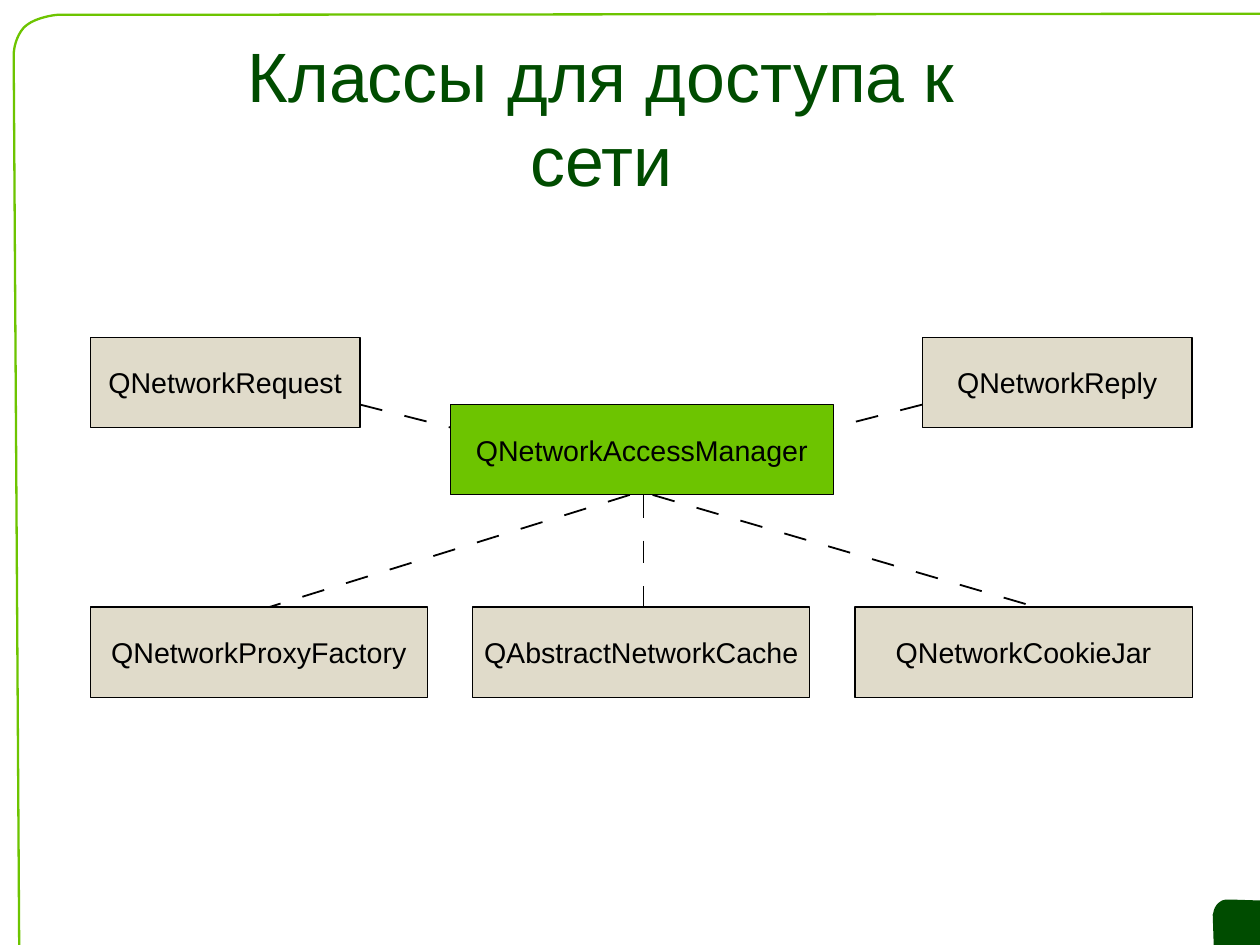
import pptx
import pptx.util
import pptx.dml.color
import pptx.enum.shapes
import pptx.enum.text
import pptx.oxml
import pptx.oxml.ns
from pptx.util import Inches

COLORS = {"dark": "004C00", "green": "6DC400", "sand": "E0DBCA", "black": "000000"}
FONT = "Arial"
TITLE = "Классы для доступа к сети"
SLIDE_SIZE_CM = (28, 21)

MARGIN = 0.79
RIGHT = 10.43
BOX_HEIGHT = 0.79
UPPER_TOP, MANAGER_TOP, LOWER_TOP = 2.95, 3.54, 5.31
UPPER_WIDTH, MANAGER_WIDTH, LOWER_WIDTH = 2.36, 3.35, 2.95
MANAGER_LEFT = 3.94

UPPER_CLASSES = ["QNetworkRequest", "QNetworkReply"]
LOWER_CLASSES = ["QNetworkProxyFactory", "QAbstractNetworkCache", "QNetworkCookieJar"]
MANAGER = "QNetworkAccessManager"

MANAGER_BOTTOM = MANAGER_TOP + BOX_HEIGHT
LINKS = [
    ((MARGIN + UPPER_WIDTH, 3.54), (MANAGER_LEFT, 3.74)),
    ((RIGHT - UPPER_WIDTH, 3.54), (MANAGER_LEFT + MANAGER_WIDTH, 3.74)),
    ((5.63, MANAGER_BOTTOM), (5.63, LOWER_TOP)),
    ((5.51, MANAGER_BOTTOM), (2.36, LOWER_TOP)),
    ((5.71, MANAGER_BOTTOM), (9.06, LOWER_TOP)),
]

CORNER_TAB = [
    [(10.76, 7.87)],
    [(11.06, 7.88)],
    [(11.06, 8.14)],
    [(11.06, 8.19), (11.06, 8.21), (11.04, 8.25)],
    [(10.99, 8.3), (10.96, 8.3), (10.91, 8.3)],
    [(10.62, 8.3)],
    [(10.61, 8)],
    [(10.62, 7.99), (10.61, 7.96), (10.65, 7.91)],
    [(10.69, 7.87), (10.72, 7.87), (10.76, 7.87)],
]
FRAME = [
    [(0.5, 0.13)],
    [(0.49, 0.13), (0.3, 0.15), (0.21, 0.24)],
    [(0.12, 0.34), (0.12, 0.48), (0.12, 0.48)],
    [(0.17, 8.55)],
    [(11.32, 8.57)],
    [(11.27, 0.12)],
]
CURVE_STEPS = 10


def rgb(name):
    return pptx.dml.color.RGBColor.from_string(COLORS[name])


def outline_points(segments):
    points = [segments[0][0]]
    for segment in segments[1:]:
        if len(segment) == 1:
            points.append(segment[0])
            continue
        controls = [points[-1], *segment]
        for step in range(1, CURVE_STEPS + 1):
            t = step / CURVE_STEPS
            weights = ((1 - t) ** 3, 3 * t * (1 - t) ** 2, 3 * t * t * (1 - t), t ** 3)
            points.append(tuple(
                sum(w * point[axis] for w, point in zip(weights, controls))
                for axis in (0, 1)))
    return [(Inches(x), Inches(y)) for x, y in points]


def add_outline(shapes, segments):
    start, *others = outline_points(segments)
    builder = shapes.build_freeform(*start)
    builder.add_line_segments(others, close=True)
    outline = builder.convert_to_shape()
    outline.shadow.inherit = False
    return outline


def write(frame, text, size, color):
    frame.text = text
    frame.word_wrap = True
    frame.vertical_anchor = pptx.enum.text.MSO_ANCHOR.MIDDLE
    paragraph = frame.paragraphs[0]
    paragraph.alignment = pptx.enum.text.PP_ALIGN.CENTER
    font = paragraph.runs[0].font
    font.name = FONT
    font.size = pptx.util.Pt(size)
    font.color.rgb = rgb(color)


def add_class(shapes, name, left, top, width, fill):
    box = shapes.add_shape(
        pptx.enum.shapes.MSO_SHAPE.RECTANGLE,
        Inches(left), Inches(top), Inches(width), Inches(BOX_HEIGHT))
    box.shadow.inherit = False
    box.fill.solid()
    box.fill.fore_color.rgb = rgb(fill)
    box.line.color.rgb = rgb("black")
    box.line.width = 0
    write(box.text_frame, name, 18, "black")


def add_class_row(shapes, names, top, width):
    step = (RIGHT - MARGIN - width) / (len(names) - 1)
    for index, name in enumerate(names):
        add_class(shapes, name, MARGIN + index * step, top, width, "sand")


def add_link(shapes, start, end):
    link = shapes.add_connector(
        pptx.enum.shapes.MSO_CONNECTOR.STRAIGHT,
        *(Inches(value) for value in start + end))
    link.line.color.rgb = rgb("black")
    link.line.width = pptx.util.Pt(1.13)
    namespace = pptx.oxml.ns.nsdecls("a")
    properties = link._element.spPr
    properties.find(pptx.oxml.ns.qn("a:ln")).append(pptx.oxml.parse_xml(
        f'<a:custDash {namespace}><a:ds d="1270000" sp="1270000"/></a:custDash>'))
    properties.append(pptx.oxml.parse_xml(f"<a:effectLst {namespace}/>"))


def main():
    deck = pptx.Presentation()
    deck.slide_width, deck.slide_height = map(pptx.util.Cm, SLIDE_SIZE_CM)
    shapes = deck.slides.add_slide(deck.slide_layouts[6]).shapes

    corner_tab = add_outline(shapes, CORNER_TAB)
    corner_tab.fill.solid()
    corner_tab.fill.fore_color.rgb = rgb("dark")
    corner_tab.line.fill.background()

    frame = add_outline(shapes, FRAME)
    frame.fill.background()
    frame.line.color.rgb = rgb("green")
    frame.line.width = pptx.util.Pt(1.45)

    title = shapes.add_textbox(Inches(1.68), Inches(0.33), Inches(7.17), Inches(1.38)).text_frame
    title.margin_left = title.margin_right = title.margin_top = title.margin_bottom = 0
    write(title, TITLE, 44, "dark")

    add_class(shapes, MANAGER, MANAGER_LEFT, MANAGER_TOP, MANAGER_WIDTH, "green")
    add_class_row(shapes, UPPER_CLASSES, UPPER_TOP, UPPER_WIDTH)
    add_class_row(shapes, LOWER_CLASSES, LOWER_TOP, LOWER_WIDTH)
    for start, end in LINKS:
        add_link(shapes, start, end)

    deck.save("out.pptx")


if __name__ == "__main__":
    main()
